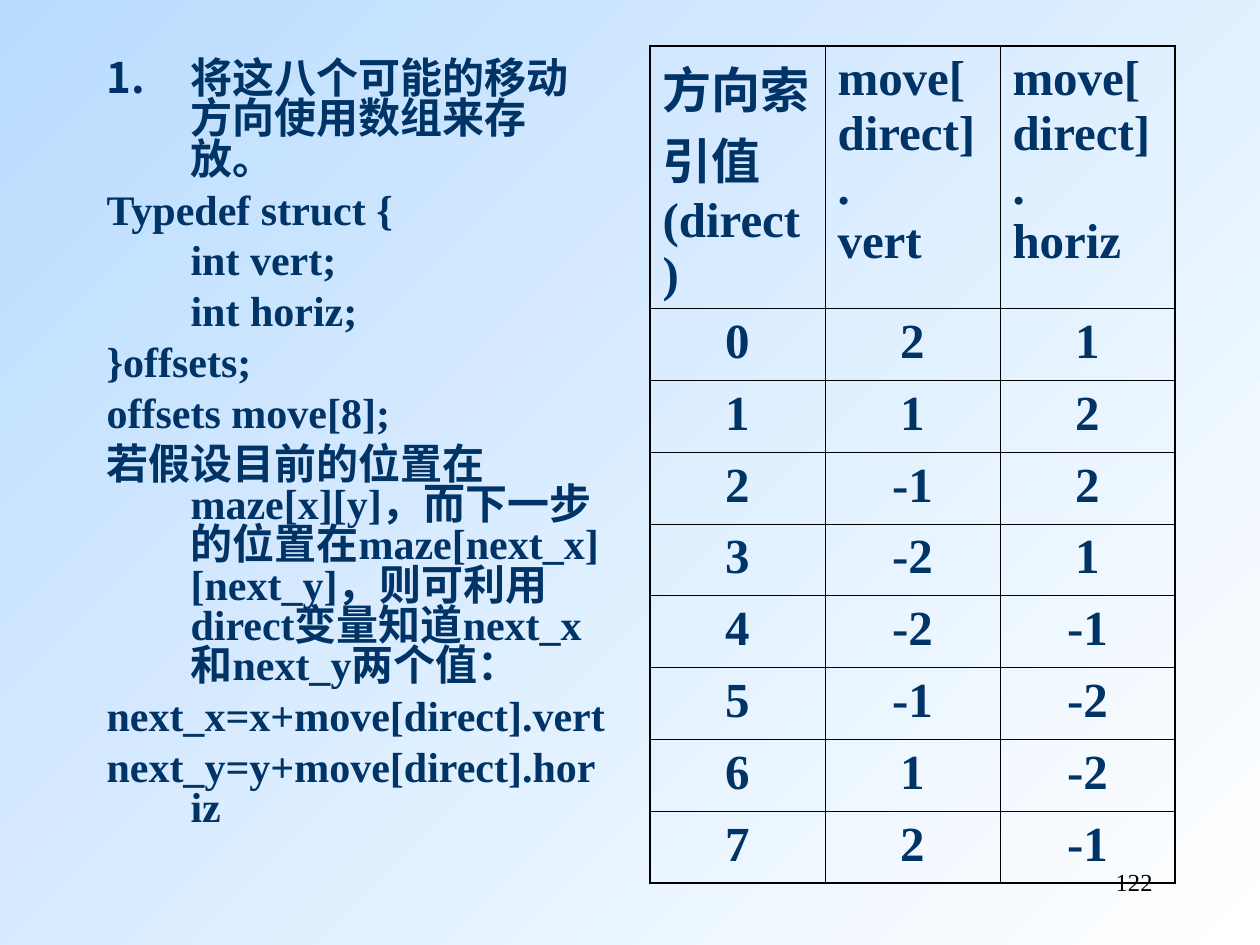
from lxml import etree
from pptx import Presentation
from pptx.dml.color import RGBColor
from pptx.enum.text import MSO_AUTO_SIZE, PP_ALIGN
from pptx.oxml.ns import qn
from pptx.util import Emu, Pt

LEFT, CENTER, RIGHT = PP_ALIGN.LEFT, PP_ALIGN.CENTER, PP_ALIGN.RIGHT
FIXED = MSO_AUTO_SIZE.NONE
FONT, NAVY, BLACK = "Times New Roman", "003366", "000000"
HANG = 84
THICK, THIN = 1.08, 0.45


def px(length):
    return Emu(round(length * 914400 / 126))


def write(para, text, size=24, color=NAVY, bold=True, align=LEFT):
    para.alignment = align
    for number, line in enumerate(text.split("\n")):
        if number:
            para.add_line_break()
        span = para.add_run()
        span.text = line
        span.font.name = FONT
        span.font.size = Pt(size)
        span.font.bold = bold
        span.font.color.rgb = RGBColor.from_string(color)


deck = Presentation()
deck.slide_width, deck.slide_height = px(1260), px(945)
page = deck.slides.add_slide(deck.slide_layouts[1])
title, body = page.placeholders
title.element.getparent().remove(title.element)

# Background running from the top left to the bottom right
backdrop = page.background.fill
backdrop.gradient()
backdrop.gradient_angle = 315
for stop, position, color in zip(backdrop.gradient_stops, (0, 1), ("B9DCFF", "FFFFFF")):
    stop.position = position
    stop.color.rgb = RGBColor.from_string(color)

# Explanation and code: (text, first-line offset)
lines = [
    ("将这八个可能的移动方向使用数组来存放。", -HANG),
    ("Typedef struct {", -HANG),
    ("int vert;", 0),
    ("int horiz;", 0),
    ("}offsets;", -HANG),
    ("offsets move[8];", -HANG),
    ("若假设目前的位置在maze[x][y]，而下一步的位置在maze[next_x][next_y]，"
     "则可利用direct变量知道next_x和next_y两个值：", -HANG),
    ("next_x=x+move[direct].vert", -HANG),
    ("next_y=y+move[direct].horiz", -HANG),
]
body.left, body.top, body.width, body.height = px(94), px(55), px(525), px(853)
frame = body.text_frame
frame.word_wrap = True
frame.auto_size = FIXED
for index, (text, offset) in enumerate(lines):
    para = frame.add_paragraph() if index else frame.paragraphs[0]
    layout = para._p.get_or_add_pPr()
    layout.set("marL", str(px(HANG)))
    layout.set("indent", str(px(offset)))
    layout.set("hangingPunct", "0")
    if index:
        etree.SubElement(layout, qn("a:buNone"))
    else:
        bullet_color = etree.SubElement(layout, qn("a:buClr"))
        etree.SubElement(bullet_color, qn("a:srgbClr"), val=NAVY)
        etree.SubElement(layout, qn("a:buAutoNum"), type="arabicPeriod")
    para.line_spacing = 0.8
    para.space_before = Pt(6 if index else 0)
    write(para, text)

# Table of moves by direction
headings = ("方向索引值(direct)", "move[\ndirect].\nvert", "move[\ndirect].\nhoriz")
moves = [(2, 1), (1, 2), (-1, 2), (-2, 1), (-2, -1), (-1, -2), (1, -2), (2, -1)]
rows = [headings] + [(direct, *move) for direct, move in enumerate(moves)]
last_row, last_column = len(rows) - 1, len(headings) - 1
table = page.shapes.add_table(len(rows), len(headings), px(650), px(46), px(525), px(822)).table
table.first_row = table.horz_banding = False
for column in table.columns:
    column.width = px(175)
for r, values in enumerate(rows):
    table.rows[r].height = px(71.8 if r else 248)
    for c, value in enumerate(values):
        cell = table.cell(r, c)
        write(cell.text_frame.paragraphs[0], str(value), size=28, align=CENTER if r else LEFT)
        # Heavy outer frame, fine inner grid
        edges = {"lnL": c == 0, "lnR": c == last_column, "lnT": r == 0, "lnB": r == last_row}
        for side, outer in edges.items():
            width = Pt(THICK if outer else THIN)
            border = etree.SubElement(cell._tc.get_or_add_tcPr(), qn(f"a:{side}"), w=str(width))
            paint = etree.SubElement(border, qn("a:solidFill"))
            etree.SubElement(paint, qn("a:srgbClr"), val=BLACK)
        cell.fill.background()

# Page number
number_box = page.shapes.add_textbox(px(903), px(861), px(262), px(63))
number_box.text_frame.word_wrap = True
write(number_box.text_frame.paragraphs[0], "122", size=14, color=BLACK, bold=False, align=RIGHT)

deck.save("out.pptx")
